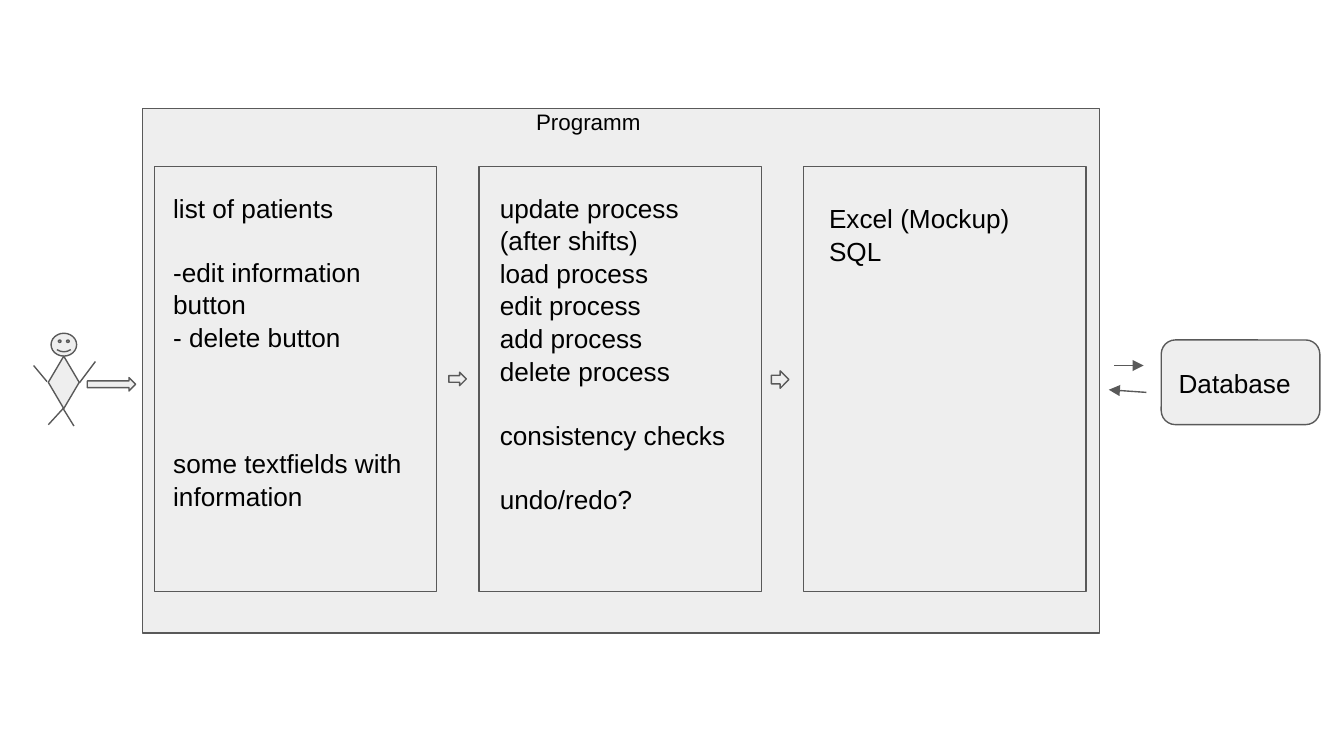
from lxml import etree
from pptx import Presentation
from pptx.dml.color import RGBColor
from pptx.enum.shapes import MSO_CONNECTOR, MSO_SHAPE
from pptx.enum.text import MSO_ANCHOR, PP_ALIGN
from pptx.oxml.ns import qn
from pptx.util import Inches, Pt

RECT, ROUNDED = MSO_SHAPE.RECTANGLE, MSO_SHAPE.ROUNDED_RECTANGLE
SMILEY, DIAMOND = MSO_SHAPE.SMILEY_FACE, MSO_SHAPE.DIAMOND
ARROW = MSO_SHAPE.RIGHT_ARROW
STRAIGHT = MSO_CONNECTOR.STRAIGHT
TOP, MIDDLE, LEFT = MSO_ANCHOR.TOP, MSO_ANCHOR.MIDDLE, PP_ALIGN.LEFT

THEME = {
    "font": "Arial",
    "fill": RGBColor(0xEE, 0xEE, 0xEE),
    "line": RGBColor(0x59, 0x59, 0x59),
    "text": RGBColor(0, 0, 0),
    "body": 14,
    "label": 12,
    "stroke": Pt(0.75),
    "spacing": 1.04,
    "row": 16.8,  # height of one body line in points
}

prs = Presentation()
prs.slide_width, prs.slide_height = Inches(10), Inches(5.625)
slide = prs.slides.add_slide(prs.slide_layouts[6])
shapes = slide.shapes


def add_box(kind, left, top, width, height):
    box = shapes.add_shape(kind, *map(Inches, (left, top, width, height)))
    box.shadow.inherit = False
    box.fill.solid()
    box.fill.fore_color.rgb = THEME["fill"]
    box.line.color.rgb = THEME["line"]
    box.line.width = THEME["stroke"]
    return box


def write(frame, lines, size=THEME["body"], anchor=TOP):
    """Fill a text frame from (text, number of free rows above it) pairs."""
    frame.word_wrap = True
    frame.vertical_anchor = anchor
    frame.margin_left = frame.margin_right = Inches(0.1)
    frame.margin_top = frame.margin_bottom = Inches(0.1)
    for index, (text, free_rows) in enumerate(lines):
        paragraph = frame.paragraphs[0] if index == 0 else frame.add_paragraph()
        paragraph.alignment = LEFT
        paragraph.line_spacing = THEME["spacing"]
        paragraph.space_before = Pt(free_rows * THEME["row"])
        run = paragraph.add_run()
        run.text = text
        run.font.name = THEME["font"]
        run.font.size = Pt(size)
        run.font.color.rgb = THEME["text"]


# Program frame with three equal columns
COLUMN_LEFT, COLUMN_TOP, COLUMN_STEP = 1.15, 1.24, 2.415
COLUMN_WIDTH, COLUMN_HEIGHT = 2.1, 3.16
add_box(RECT, 1.06, 0.81, 7.12, 3.9)
for column in range(3):
    add_box(RECT, COLUMN_LEFT + column * COLUMN_STEP, COLUMN_TOP,
            COLUMN_WIDTH, COLUMN_HEIGHT)

# Head and body of the user, then the arrows from step to step
add_box(SMILEY, 0.38, 2.48, 0.19, 0.17)
add_box(DIAMOND, 0.36, 2.65, 0.23, 0.39)
for arrow in [(0.65, 2.81, 0.36, 0.1), (3.34, 2.77, 0.13, 0.1),
              (5.74, 2.76, 0.13, 0.13)]:
    add_box(ARROW, *arrow)

program_label = [("Programm", 0)]
interface = [("list of patients", 0), ("-edit information button", 1),
             ("- delete button", 0), ("some textfields with information", 3)]
processes = [("update process (after shifts)", 0), ("load process", 0),
             ("edit process", 0), ("add process", 0), ("delete process", 0),
             ("consistency checks", 1), ("undo/redo?", 1)]
storage = [("Excel (Mockup)", 0), ("SQL", 0)]
for lines, place, size in [
    (program_label, (3.89, 0.7, 1.32, 0.4), THEME["label"]),
    (interface, (1.19, 1.32, 1.99, 2.56), THEME["body"]),
    (processes, (3.62, 1.32, 1.99, 2.56), THEME["body"]),
    (storage, (6.07, 1.4, 1.91, 0.67), THEME["body"]),
]:
    write(shapes.add_textbox(*map(Inches, place)).text_frame, lines, size=size)

database = add_box(ROUNDED, 8.64, 2.53, 1.18, 0.63)
write(database.text_frame, [("Database", 0)], anchor=MIDDLE)

# Limbs of the user, then the exchange with the database
limbs = [(0.35, 2.84, 0.25, 2.72), (0.71, 2.69, 0.59, 2.85),
         (0.47, 3.04, 0.36, 3.16), (0.47, 3.04, 0.55, 3.17)]
exchange = [(8.29, 2.72, 8.51, 2.72), (8.53, 2.92, 8.25, 2.9)]
for ends in limbs + exchange:
    link = shapes.add_connector(STRAIGHT, *map(Inches, ends))
    link.line.color.rgb = THEME["line"]
    link.line.width = THEME["stroke"]
    if ends in exchange:
        etree.SubElement(link.line._get_or_add_ln(), qn("a:tailEnd"),
                         type="triangle", w="med", len="med")
    etree.SubElement(link._element.spPr, qn("a:effectLst"))

prs.save("out.pptx")
